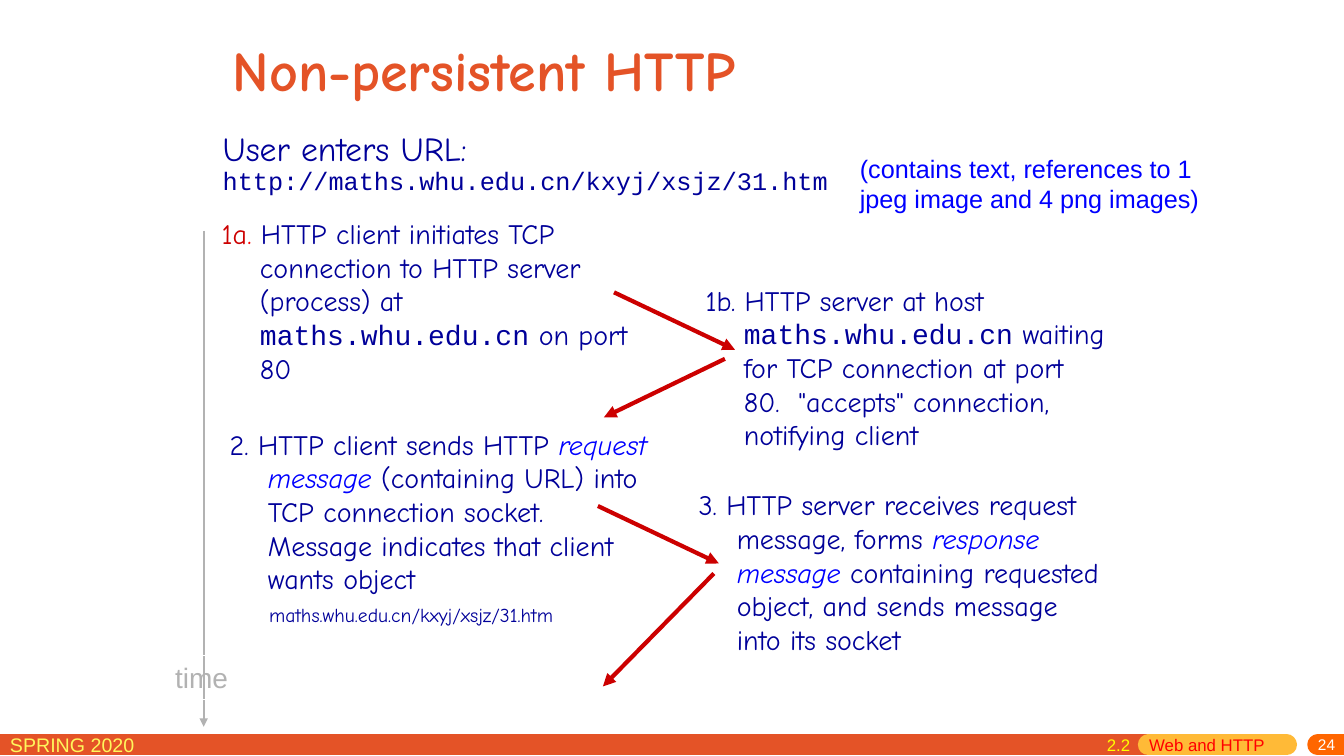
from lxml.etree import SubElement as Sub
from pptx import Presentation
from pptx.dml.color import RGBColor as Rgb
from pptx.enum.shapes import MSO_CONNECTOR as Conn, MSO_SHAPE as Shape
from pptx.enum.text import MSO_ANCHOR as Anchor, PP_ALIGN as Align
from pptx.oxml.ns import qn
from pptx.util import Inches, Pt

COLORS = {
    "orange": "E45327", "gold": "FFBA37", "badge": "FF6600",
    "pale": "FFF65C", "white": "FFFFFF", "yellow": "FFFF00",
    "scarlet": "FF0000", "red": "CC0000", "navy": "000099",
    "blue": "0000FF", "gray": "B2B2B2",
}
SANS, HAND, MONO = "Arial", "Comic Neue", "Courier New"
HANG = 0.38


def tint(name):
    return Rgb.from_string(COLORS[name])


def style(run, font, size, color, bold=False, slant=False):
    run.font.name = font
    run.font.size = Pt(size)
    run.font.color.rgb = tint(color)
    run.font.bold = bold
    run.font.italic = slant


def write(para, parts, font, size, color, bold=False):
    for part in parts:
        text, look = (part, {}) if isinstance(part, str) else part
        run = para.add_run()
        run.text = text
        style(run, look.get("font", font), size, look.get("color", color),
              bold, look.get("slant", False))


def label(slide, box, lines, font, size, color, bold=False,
          align=Align.LEFT, anchor=Anchor.TOP, hang=0, tab=0):
    shape = slide.shapes.add_textbox(*map(Inches, box))
    frame = shape.text_frame
    frame.word_wrap = True
    frame.vertical_anchor = anchor
    for i, parts in enumerate(lines):
        para = frame.add_paragraph() if i else frame.paragraphs[0]
        para.alignment = align
        props = para._p.get_or_add_pPr()
        if hang:
            props.set("marL", str(Inches(hang)))
            props.set("indent", str(-Inches(hang)))
        if tab:
            tabs = Sub(props, qn("a:tabLst"))
            Sub(tabs, qn("a:tab"), pos=str(Inches(tab)), algn="l")
        write(para, parts, font, size, color, bold)
    return frame


def stroke(slide, start, end, color, width, head=False, cap=None):
    line = slide.shapes.add_connector(
        Conn.STRAIGHT, *map(Inches, (*start, *end)))
    line.line.color.rgb = tint(color)
    line.line.width = Pt(width)
    pen = line.line._get_or_add_ln()
    if cap:
        pen.set("cap", cap)
        Sub(pen, qn("a:round"))
    if head:
        Sub(pen, qn("a:tailEnd"), type="triangle")
    Sub(line._element.spPr, qn("a:effectLst"))


def footer(slide, left, top, width):
    mid = top + 0.17
    bars = [(0, 11.39, "orange"), (11.39, 12.76, "gold"),
            (13.07, width, "badge")]
    for start, end, color in bars:
        stroke(slide, (left + start, mid), (left + end, mid), color, 15,
               cap="rnd")
    label(slide, (left, top, 2.29, 0.31), [["SPRING 2020"]], SANS, 14, "pale")
    page = label(slide, (left + width - 2.58, top + 0.1, 2.59, 0.18),
                 [["24"]], SANS, 11, "white",
                 align=Align.RIGHT, anchor=Anchor.MIDDLE)
    page.margin_top, page.margin_bottom = 0, Inches(0.05)
    label(slide, (left + 10.88, top + 0.02, 2.13, 0.31),
          [["2.2\t", ("Web and HTTP", {"color": "scarlet"})]],
          SANS, 12, "yellow", tab=0.42)


def heading(slide, left, top):
    label(slide, (left + 0.1, top, 8.5, 0.95), [["Non-persistent HTTP"]],
          HAND, 40, "orange", bold=True, anchor=Anchor.MIDDLE)
    label(slide, (left, top + 1.01, 8.68, 0.51), [["User enters URL:"]],
          HAND, 24, "navy", hang=HANG)
    label(slide, (left, top + 1.38, 6.21, 0.51),
          [["http://maths.whu.edu.cn/kxyj/xsjz/31.htm"]],
          MONO, 18, "navy", hang=HANG)
    label(slide, (left + 5.82, top + 1.26, 4.56, 0.71),
          [["(contains text, references to 1 "],
           ["jpeg image and 4 png images)"]],
          SANS, 18, "blue", align=Align.CENTER)


def axis(slide, left, top, height):
    mid = left + 0.39
    stroke(slide, (mid, top), (mid, top + height), "gray", 1.5, head=True)
    box = slide.shapes.add_shape(
        Shape.RECTANGLE, *map(Inches, (left, top + 4.21, 0.74, 0.44)))
    box.shadow.inherit = False
    box.fill.background()
    box.line.color.rgb = tint("white")
    box.line.width = Pt(0.75)
    frame = box.text_frame
    frame.word_wrap = False
    frame.text = "time"
    para = frame.paragraphs[0]
    para.alignment = Align.CENTER
    style(para.runs[0], SANS, 20, "gray")


def steps(slide, left, top):
    host = ("maths.whu.edu.cn", {"font": MONO})
    key = {"color": "blue", "slant": True}
    notes = [
        ((0, 0, 4.31, 2.08),
         [("1a", {"color": "red"}), (".", {"color": "scarlet"}),
          " HTTP client initiates TCP connection to HTTP server (process) at ",
          host, " on port 80"]),
        ((0.08, 2.09, 4.37, 2.68),
         ["2. HTTP client sends HTTP ", ("request message", key),
          " (containing URL) into TCP connection socket. "
          "Message indicates that client wants object"]),
        ((4.8, 0.66, 4.17, 1.65),
         ["1b. HTTP server at host ", host,
          " waiting for TCP connection at port 80.  \"accepts\" connection, "
          "notifying client"]),
        ((4.73, 2.69, 4.17, 1.97),
         ["3. HTTP server receives request message, forms ",
          ("response message", key),
          " containing requested object, and sends message into its socket"]),
    ]
    for (x, y, w, h), parts in notes:
        label(slide, (left + x, top + y, w, h), [parts],
              HAND, 20, "navy", hang=HANG)
    label(slide, (left + 0.47, top + 3.83, 4.65, 0.34),
          [["maths.whu.edu.cn/kxyj/xsjz/31.htm"]], HAND, 14, "navy")
    arrows = [(3.99, 0.8, 1.2, 0.57), (5.09, 1.46, -1.2, 0.58),
              (3.83, 2.92, 1.2, 0.57), (4.98, 3.59, -1.1, 1.12)]
    for x, y, dx, dy in arrows:
        start = left + x, top + y
        stroke(slide, start, (start[0] + dx, start[1] + dy), "red", 3,
               head=True)


def main():
    deck = Presentation()
    deck.slide_width, deck.slide_height = Inches(13.33), Inches(7.5)
    slide = deck.slides.add_slide(deck.slide_layouts[6])
    footer(slide, 0, 7.22, 13.33)
    axis(slide, 1.63, 2.29, 4.92)
    heading(slide, 2.11, 0.21)
    steps(slide, 2.1, 2.1)
    deck.save("out.pptx")


if __name__ == "__main__":
    main()
